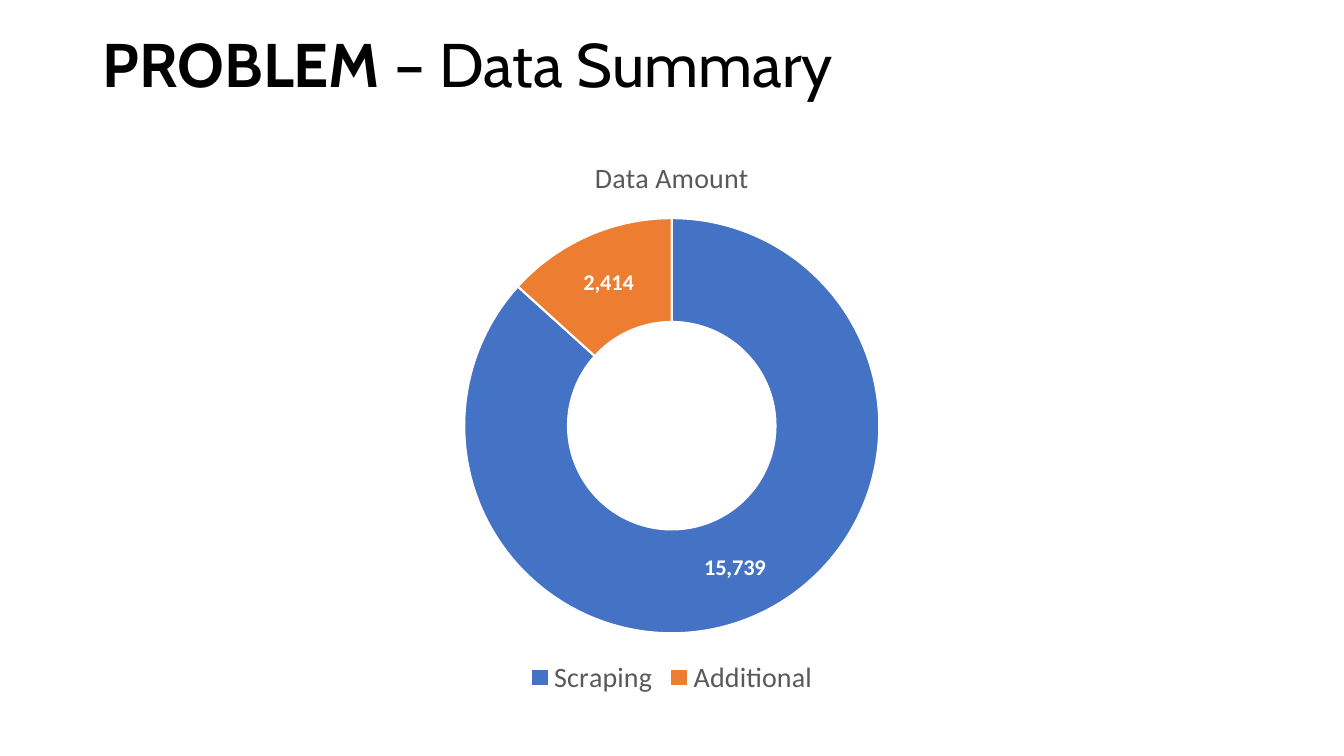
from pptx import Presentation
from pptx.chart.data import CategoryChartData
from pptx.dml.color import RGBColor
from pptx.enum.chart import XL_CHART_TYPE, XL_LEGEND_POSITION
from pptx.enum.text import MSO_ANCHOR, PP_ALIGN
from pptx.util import Cm, Pt

BLACK = RGBColor(0x00, 0x00, 0x00)
WHITE = RGBColor(0xFF, 0xFF, 0xFF)
GREY = RGBColor(0x59, 0x59, 0x59)
BLUE = RGBColor(0x44, 0x72, 0xC4)
ORANGE = RGBColor(0xED, 0x7D, 0x31)

HEADING = {"name": "Cabin", "size": Pt(44), "color": BLACK}
BASE = {"name": "Calibri", "size": Pt(10), "color": BLACK}
CAPTION = {"name": "Calibri", "size": Pt(20), "color": GREY, "bold": False}
LABEL = {"name": "Calibri", "size": Pt(16), "color": WHITE, "bold": True}

AMOUNTS = {"Scraping": 15739, "Additional": 2414}
COLORS = (BLUE, ORANGE)


def format_font(font, values):
    for key, value in values.items():
        if key == "color":
            font.color.rgb = value
        else:
            setattr(font, key, value)


def place(sp, left, top, width, height):
    box = {"left": left, "top": top, "width": width, "height": height}
    for key, value in box.items():
        setattr(sp, key, Cm(value))


def add_title(slide, parts):
    sp = slide.shapes.title
    place(sp, 2.33, 0.89, 29.21, 1.63)
    tf = sp.text_frame
    tf.word_wrap = True
    tf.vertical_anchor = MSO_ANCHOR.MIDDLE
    p = tf.paragraphs[0]
    p.alignment = PP_ALIGN.LEFT
    p.line_spacing = 0.9
    for text, bold in parts:
        r = p.add_run()
        r.text = text
        format_font(r.font, {**HEADING, "bold": bold})


def add_chart_title(chart, text):
    chart.has_title = True
    chart.chart_title.include_in_layout = False
    p = chart.chart_title.text_frame.paragraphs[0]
    r = p.add_run()
    r.text = text
    format_font(r.font, CAPTION)


def add_legend(chart):
    chart.has_legend = True
    legend = chart.legend
    legend.position = XL_LEGEND_POSITION.BOTTOM
    legend.include_in_layout = False
    format_font(legend.font, CAPTION)


def format_ring(plot):
    plot.vary_by_categories = True
    for hole in plot._element.xpath("c:holeSize"):
        hole.set("val", "75")
    for i, color in enumerate(COLORS):
        point = plot.series[0].points[i]
        point.format.fill.solid()
        point.format.fill.fore_color.rgb = color
        point.format.line.color.rgb = WHITE
        point.format.line.width = Pt(1.5)
    labels = plot.series[0].data_labels
    labels.show_value = True
    labels.show_percentage = False
    labels.number_format = "#,##0"
    labels.number_format_is_linked = False
    format_font(labels.font, LABEL)


def add_doughnut(slide, name, amounts):
    data = CategoryChartData(number_format="#,##0")
    data.categories = list(amounts)
    data.add_series(name, list(amounts.values()))
    frame = slide.shapes.add_chart(
        XL_CHART_TYPE.DOUGHNUT, Cm(6.25), Cm(3.43), Cm(21.36), Cm(14.22), data
    )
    chart = frame.chart
    format_font(chart.font, BASE)
    add_chart_title(chart, name)
    add_legend(chart)
    format_ring(chart.plots[0])


def main():
    prs = Presentation()
    prs.slide_width = Cm(33.87)
    prs.slide_height = Cm(19.05)
    slide = prs.slides.add_slide(prs.slide_layouts[5])
    add_title(slide, [("PROBLEM ", True), ("– Data Summary", False)])
    add_doughnut(slide, "Data Amount", AMOUNTS)
    prs.save("out.pptx")


if __name__ == "__main__":
    main()
